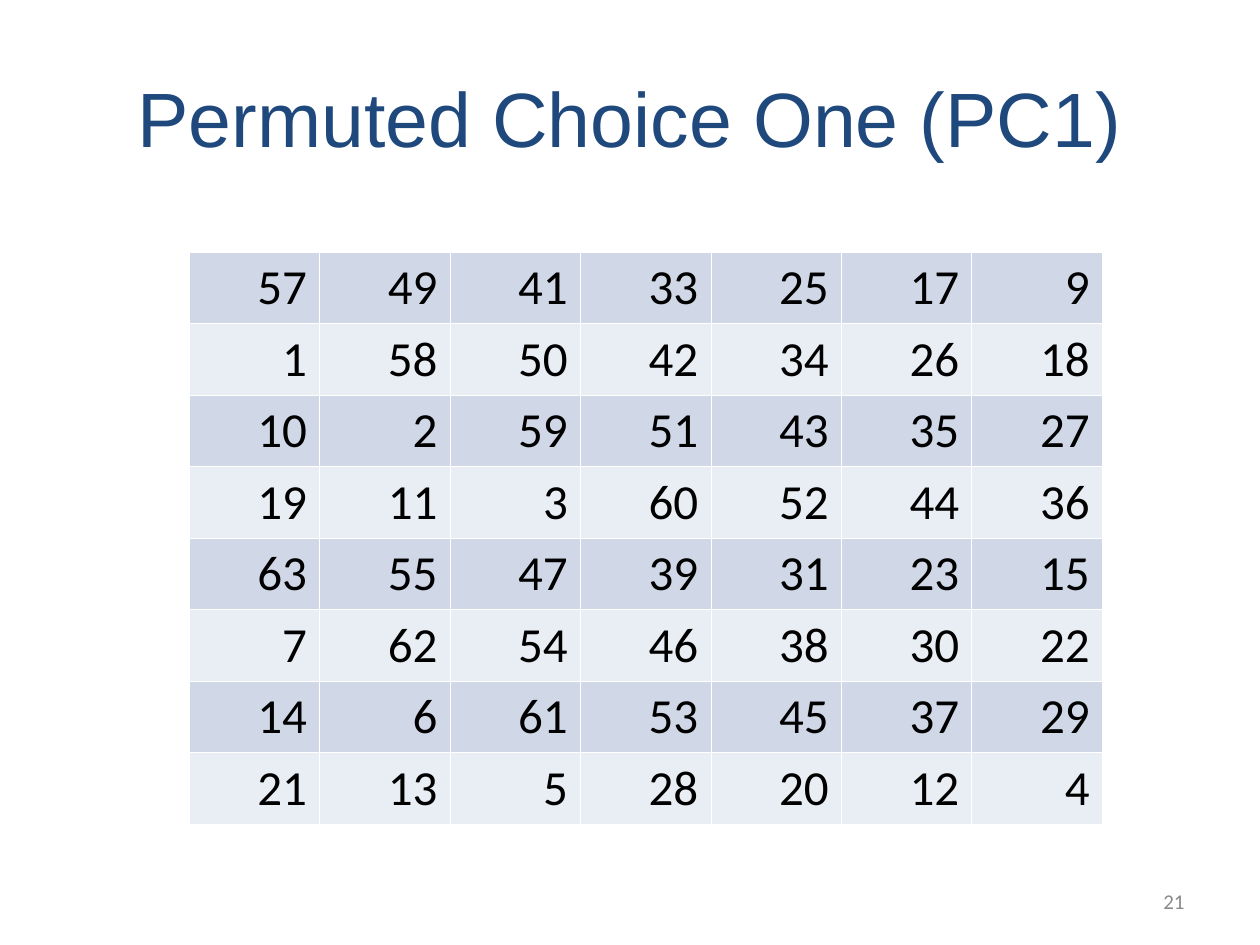
from dataclasses import dataclass

from lxml import etree
from pptx import Presentation
from pptx.dml.color import RGBColor
from pptx.enum.text import MSO_ANCHOR, PP_ALIGN
from pptx.oxml.ns import qn
from pptx.util import Pt

MID = MSO_ANCHOR.MIDDLE
TOP = MSO_ANCHOR.TOP
CENTER = PP_ALIGN.CENTER
RIGHT = PP_ALIGN.RIGHT

PC1 = [
    [57, 49, 41, 33, 25, 17, 9],
    [1, 58, 50, 42, 34, 26, 18],
    [10, 2, 59, 51, 43, 35, 27],
    [19, 11, 3, 60, 52, 44, 36],
    [63, 55, 47, 39, 31, 23, 15],
    [7, 62, 54, 46, 38, 30, 22],
    [14, 6, 61, 53, 45, 37, 29],
    [21, 13, 5, 28, 20, 12, 4],
]


@dataclass(frozen=True)
class Theme:
    head: str = "Arial"
    body: str = "Calibri"
    navy: str = "1F497D"
    gray: str = "898989"
    ink: str = "000000"
    rule: str = "FFFFFF"
    bands: tuple = ("D0D8E8", "E9EDF4")
    title: float = 44
    cell: float = 28
    note: float = 12
    line: float = 0.45


def write(frame, text, *, font, size, color, align=RIGHT):
    para = frame.paragraphs[0]
    para.alignment = align
    run = para.add_run()
    run.text = text
    run.font.name = font
    run.font.size = Pt(size)
    run.font.color.rgb = RGBColor.from_string(color)


class Deck:
    """Draws styled elements on the current slide."""

    def __init__(self, theme, slide):
        self.theme = theme
        self.slide = slide

    def label(self, text, x, y, w, h, **style):
        box = self.slide.shapes.add_textbox(Pt(x), Pt(y), Pt(w), Pt(h))
        frame = box.text_frame
        frame.word_wrap = True
        frame.vertical_anchor = MID
        write(frame, text, **style)

    def border(self, cell):
        props = cell._tc.get_or_add_tcPr()
        for side in ("lnL", "lnR", "lnT", "lnB"):
            line = etree.SubElement(props, qn(f"a:{side}"), w=str(Pt(self.theme.line)))
            fill = etree.SubElement(line, qn("a:solidFill"))
            etree.SubElement(fill, qn("a:srgbClr"), val=self.theme.rule)

    def grid(self, data, x, y, w, h):
        look = self.theme
        rows, cols = len(data), len(data[0])
        table = self.slide.shapes.add_table(
            rows, cols, Pt(x), Pt(y), Pt(w), Pt(h)).table
        table.first_row = False
        for r, row in enumerate(data):
            band = RGBColor.from_string(look.bands[r % 2])
            for c, value in enumerate(row):
                cell = table.cell(r, c)
                self.border(cell)
                cell.fill.solid()
                cell.fill.fore_color.rgb = band
                cell.vertical_anchor = TOP
                write(cell.text_frame, str(value), font=look.body,
                      size=look.cell, color=look.ink)


def main():
    show = Presentation()
    show.slide_width, show.slide_height = Pt(720), Pt(540)
    theme = Theme()
    deck = Deck(theme, show.slides.add_slide(show.slide_layouts[6]))
    deck.label("Permuted Choice One (PC1)", 36, 21.6, 648, 90, font=theme.head,
               size=theme.title, color=theme.navy, align=CENTER)
    deck.label("21", 516, 500.5, 168, 28.75, font=theme.body,
               size=theme.note, color=theme.gray)
    deck.grid(PC1, 108, 144, 522, 326.4)
    show.save("out.pptx")


if __name__ == "__main__":
    main()
